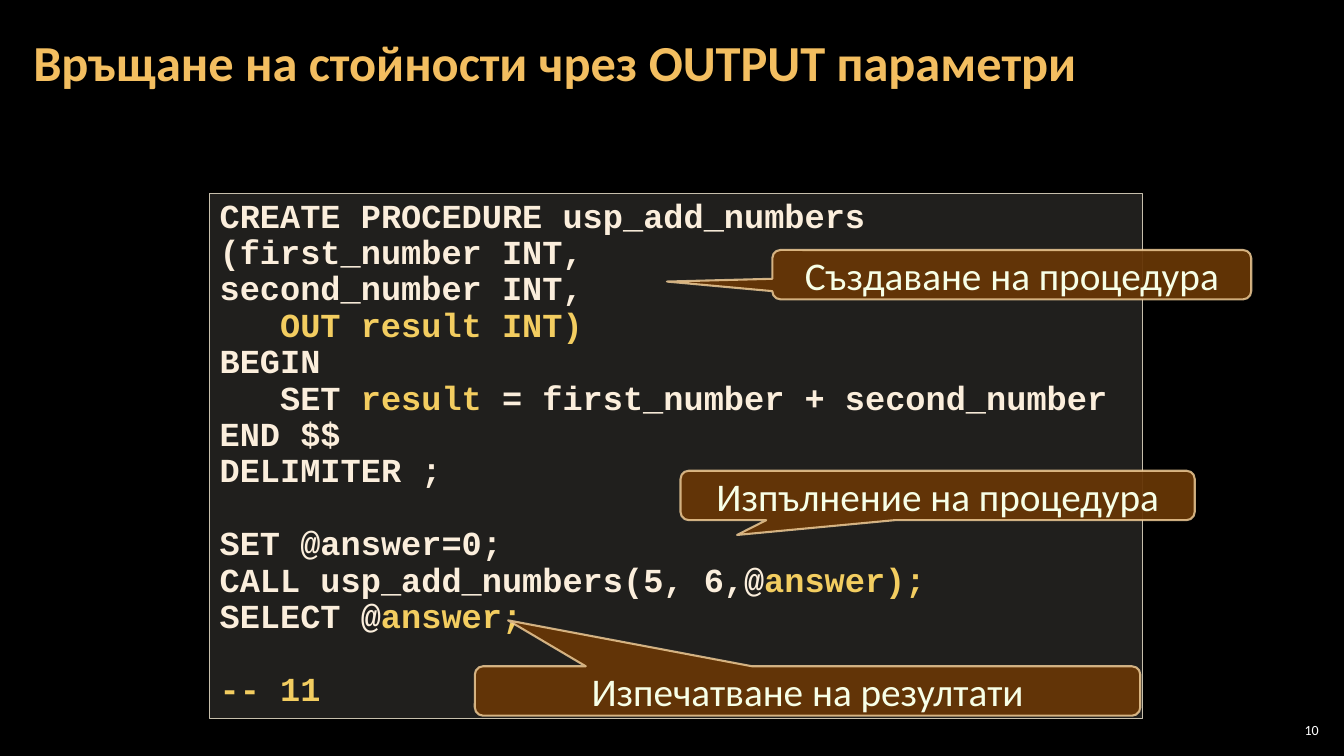
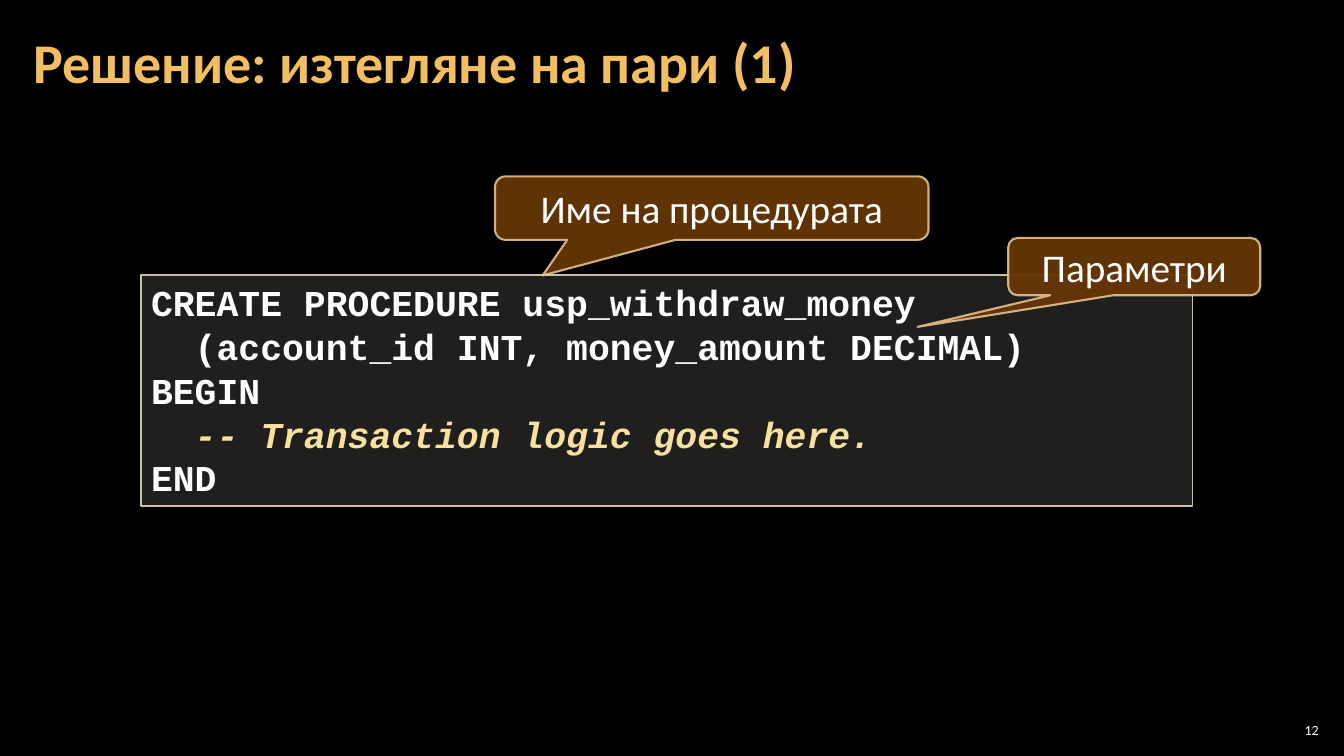
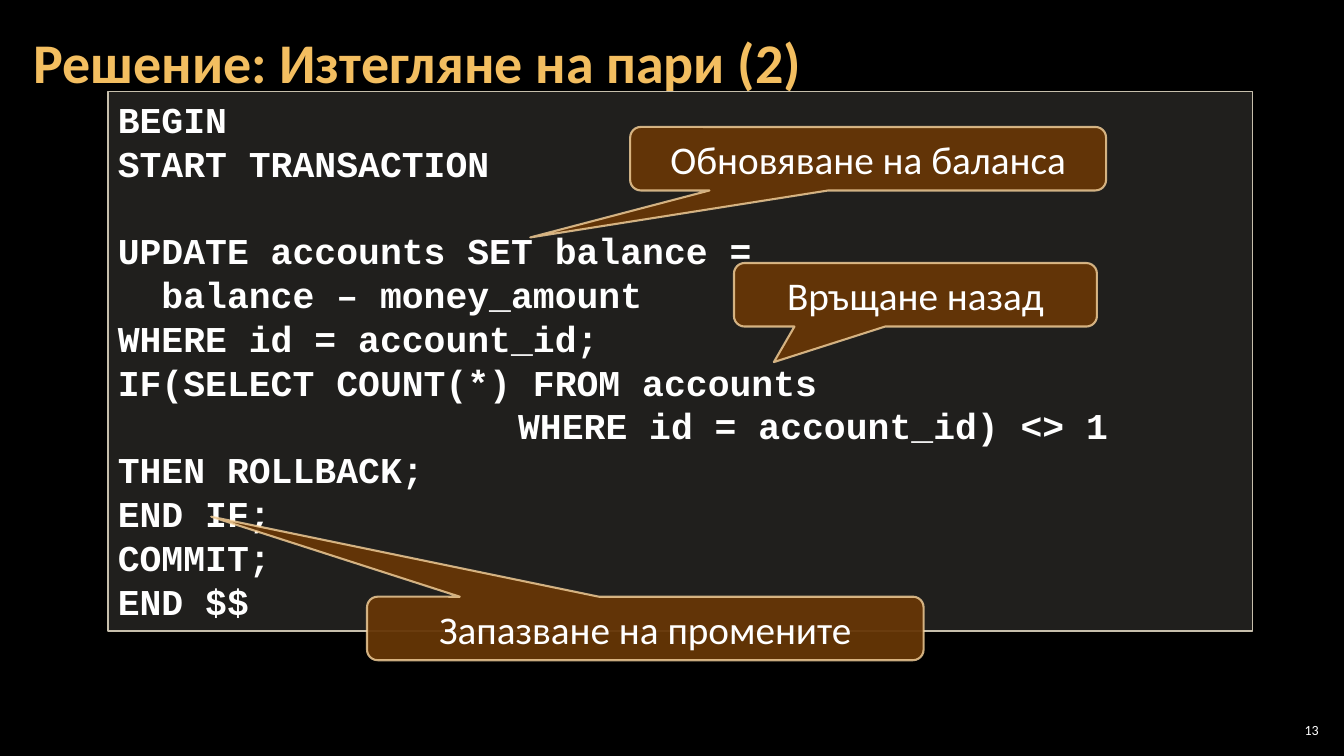
from lxml import etree
from pptx import Presentation
from pptx.dml.color import RGBColor
from pptx.enum.shapes import MSO_SHAPE as SHAPE
from pptx.enum.text import MSO_ANCHOR as ANCHOR, PP_ALIGN as ALIGN
from pptx.oxml.ns import qn
from pptx.util import Inches, Pt

BLACK, WHITE, CREAM, IVORY = "000000", "FFFFFF", "FBEEDC", "F7FFE7"
TITLE, GOLD, PALE_GOLD = "F3BE60", "F3CD60", "F8E19F"
PANEL, PANEL_EDGE = "D9D5C7", "C7BFAC"
BROWN, BROWN_EDGE = "663606", "F8D49E"
TEXT_FONT, CODE_FONT = "Calibri", "Courier New"


def color(hex_code):
    """Turn a hex string into a colour."""
    return RGBColor.from_string(hex_code)


def style_font(font, name, size, hex_code, bold=False):
    """Set the face, size, colour and weight of a font."""
    font.name, font.size, font.bold = name, Pt(size), bold
    font.color.rgb = color(hex_code)


def set_alpha(sp, where, percent):
    """Make the solid fill found at a place in the shape properties translucent."""
    for clr in sp._element.spPr.xpath(where + "a:solidFill/a:srgbClr"):
        etree.SubElement(clr, qn("a:alpha")).set("val", str(percent * 1000))


def add_box(s, kind, box, fill, fill_alpha, edge, width):
    """Add a translucent outlined shape in a box given in inches."""
    sp = s.shapes.add_shape(kind, *map(Inches, box))
    sp.shadow.inherit = False
    sp.fill.solid()
    sp.fill.fore_color.rgb = color(fill)
    sp.line.color.rgb = color(edge)
    sp.line.width = Pt(width)
    set_alpha(sp, "./", fill_alpha)
    sp.text_frame.word_wrap = True
    return sp


def add_label(s, box, text, size, hex_code, inset, bold=False):
    """Add a one-line text box centred vertically and return its paragraph."""
    tf = s.shapes.add_textbox(*map(Inches, box)).text_frame
    tf.word_wrap = True
    tf.vertical_anchor = ANCHOR.MIDDLE
    tf.margin_left = tf.margin_right = Inches(inset)
    tf.margin_top = tf.margin_bottom = Inches(0.04)
    p = tf.paragraphs[0]
    p.text = text
    style_font(p.font, TEXT_FONT, size, hex_code, bold)
    return p


def add_code(s, box, lines, size, spacing, base, accent, italic=False, indents={}):
    """Add a code panel where bars in a line switch the accent colour on and off."""
    sp = add_box(s, SHAPE.RECTANGLE, box, PANEL, 15, PANEL_EDGE, 1)
    tf = sp.text_frame
    tf.vertical_anchor = ANCHOR.TOP
    p, gap = tf.paragraphs[0], 0
    for i, line in enumerate(lines):
        if not line:
            gap += spacing
            continue
        if i:
            p = tf.add_paragraph()
        if line in indents:
            p._p.get_or_add_pPr().set("marL", str(Inches(indents[line])))
        p.alignment = ALIGN.LEFT
        p.line_spacing = Pt(spacing)
        if gap:
            p.space_before = Pt(gap)
            gap = 0
        style_font(p.font, CODE_FONT, size, base, True)
        for n, part in enumerate(line.split("|")):
            if part:
                r = p.add_run()
                r.text = part
                if n % 2:
                    r.font.color.rgb = color(accent)
                    r.font.italic = italic


def add_callout(s, box, tip, text, hex_code):
    """Add a brown callout whose tip is given as fractions of the box from its centre."""
    sp = add_box(s, SHAPE.ROUNDED_RECTANGULAR_CALLOUT, box, BROWN, 95, BROWN_EDGE, 1.5)
    set_alpha(sp, "./a:ln/", 80)
    sp.adjustments[0], sp.adjustments[1] = tip
    tf = sp.text_frame
    tf.vertical_anchor = ANCHOR.MIDDLE
    p = tf.paragraphs[0]
    p.text = text
    p.alignment = ALIGN.CENTER
    style_font(p.font, TEXT_FONT, 28, hex_code)


def add_code_slide(prs, number, title, title_size, code, callouts, callout_color):
    """Add a slide with a title, a code panel, callouts and a page number."""
    s = prs.slides.add_slide(prs.slide_layouts[6])
    s.background.fill.solid()
    s.background.fill.fore_color.rgb = color(BLACK)
    p = add_label(s, (0.21, 0.04, 12.91, 1.21), title, title_size, TITLE, 0.12, True)
    p.line_spacing = 0.9
    add_code(s, **code)
    for box, tip, text in callouts:
        add_callout(s, box, tip, text, callout_color)
    p = add_label(s, (12.65, 7.14, 0.47, 0.21), str(number), 10, WHITE, 0.04)
    p.alignment = ALIGN.RIGHT


OUTPUT_CODE = [
    "CREATE PROCEDURE usp_add_numbers",
    "(first_number INT,",
    "second_number INT,",
    "   |OUT result INT)",
    "BEGIN",
    "   SET |result |= first_number + second_number",
    "END $$",
    "DELIMITER ;",
    "",
    "SET @answer=0;",
    "CALL usp_add_numbers(5, 6,@|answer);",
    "SELECT @|answer;",
    "",
    "|-- 11",
]
WITHDRAW_CODE = [
    "CREATE PROCEDURE usp_withdraw_money",
    "  (account_id INT, money_amount DECIMAL)",
    "BEGIN",
    "|  -- Transaction logic goes here.",
    "END",
]
COUNT_FILTER = "WHERE id = account_id) <> 1"
TRANSACTION_CODE = [
    "BEGIN",
    "START TRANSACTION",
    "",
    "UPDATE accounts SET balance =",
    "  balance – money_amount",
    "WHERE id = account_id;",
    "IF(SELECT COUNT(*) FROM accounts",
    COUNT_FILTER,
    "THEN ROLLBACK;",
    "END IF;",
    "COMMIT;",
    "END $$",
]


def main():
    """Build the three slides and save them."""
    prs = Presentation()
    prs.slide_width, prs.slide_height = Inches(13.33), Inches(7.5)
    large = dict(size=26, spacing=31.3, base=WHITE, accent=PALE_GOLD, italic=True)
    add_code_slide(
        prs, 10, "Връщане на стойности чрез OUTPUT параметри", 36,
        dict(box=(2.08, 1.92, 9.25, 5.21), lines=OUTPUT_CODE, size=24, spacing=26,
             base=CREAM, accent=GOLD),
        [((7.66, 2.48, 4.75, 0.49), (-0.72, 0.14), "Създаване на процедура"),
         ((6.75, 4.67, 5.1, 0.49), (-0.39, 0.8), "Изпълнение на процедура"),
         ((4.71, 6.61, 6.6, 0.49), (-0.45, -1.43), "Изпечатване на резултати")],
        IVORY)
    add_code_slide(
        prs, 12, "Решение: изтегляне на пари (1)", 40,
        dict(box=(1.4, 2.73, 10.43, 2.29), lines=WITHDRAW_CODE, **large),
        [((4.91, 1.75, 4.3, 0.63), (-0.39, 1.06), "Име на процедурата"),
         ((10, 2.36, 2.5, 0.57), (-0.86, 1.05), "Параметри")],
        WHITE)
    add_code_slide(
        prs, 13, "Решение: Изтегляне на пари (2)", 40,
        dict(box=(1.07, 0.91, 11.35, 5.35), lines=TRANSACTION_CODE,
             indents={COUNT_FILTER: 3.97}, **large),
        [((6.25, 1.26, 4.72, 0.63), (-0.71, 1.24), "Обновяване на баланса"),
         ((7.28, 2.61, 3.6, 0.63), (-0.39, 1.06), "Връщане назад"),
         ((3.64, 5.92, 5.52, 0.63), (-0.78, -1.76), "Запазване на промените")],
        WHITE)
    prs.save("out.pptx")


if __name__ == "__main__":
    main()
